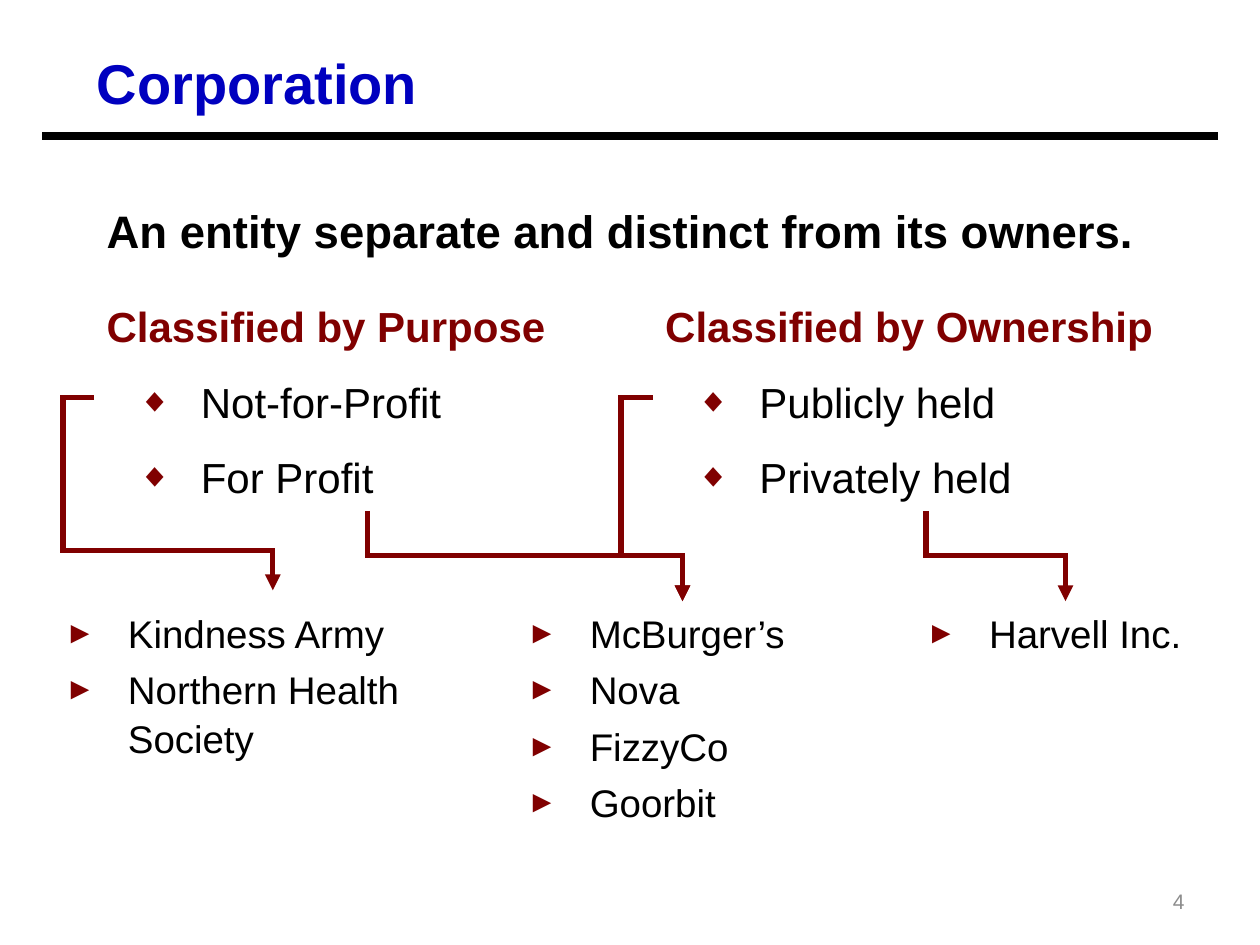
from typing import NamedTuple

from lxml.etree import SubElement
from pptx import Presentation
from pptx.dml.color import RGBColor
from pptx.enum.shapes import MSO_CONNECTOR as Connector
from pptx.enum.text import MSO_ANCHOR as Anchor, MSO_AUTO_SIZE as AutoSize, PP_ALIGN as Align
from pptx.oxml.ns import qn
from pptx.util import Cm, Pt

COLORS = {"title": "0000BF", "text": "000000", "accent": "800000", "number": "8C8C8C"}
FONT = "Arial"


class Style(NamedTuple):
    size: float
    color: str = "text"
    bold: bool = False
    line_spacing: float = 1.0
    space_before: float = 0
    bullet: str = ""
    margin: float = 0
    align: Align = Align.LEFT


class Block(NamedTuple):
    left: float
    top: float
    width: float
    height: float
    lines: list[tuple[str, Style]]
    anchor: Anchor = Anchor.TOP


class Elbow(NamedTuple):
    start: tuple[float, float]
    end: tuple[float, float]
    bend_y: float
    side_x: float | None = None


TITLE = Style(32, "title", True)
LEAD = Style(26, bold=True, line_spacing=1.15)
HEADING = Style(24, "accent", True, 1.2)
KIND = Style(24, line_spacing=1.2, space_before=8.6, bullet="◆", margin=1.9)
EXAMPLE = Style(22, line_spacing=1.05, space_before=4.6, bullet="►", margin=1.27)
NUMBER = Style(12, "number", align=Align.RIGHT)
HANGING = 1.27


def classification(left: float, heading: str, kinds: list[str]) -> Block:
    lines = [(heading, HEADING)] + [(kind, KIND) for kind in kinds]
    return Block(left, 5.74, 11, 4.57, lines)


def examples(left: float, width: float, height: float, names: list[str]) -> Block:
    return Block(left, 12.12, width, height, [(name, EXAMPLE) for name in names])


BLOCKS = [
    Block(1.9, 3.81, 22.66, 1.52,
          [("An entity separate and distinct from its owners.", LEAD)]),
    classification(1.9, "Classified by Purpose", ["Not-for-Profit", "For Profit"]),
    classification(13.16, "Classified by Ownership", ["Publicly held", "Privately held"]),
    examples(10.37, 6.78, 4.72, ["McBurger’s", "Nova", "FizzyCo", "Goorbit"]),
    examples(1.06, 8.26, 3.38, ["Kindness Army", "Northern Health Society"]),
    examples(18.42, 6.14, 1.24, ["Harvell Inc."]),
    Block(18.2, 17.65, 5.93, 1.02, [("4", NUMBER)], Anchor.MIDDLE),
]

ELBOWS = [
    Elbow((1.9, 8.02), (5.5, 11.9), 11.1, side_x=1.27),
    Elbow((13.16, 8.02), (13.76, 12.12), 11.2, side_x=12.52),
    Elbow((7.41, 10.3), (13.76, 12.12), 11.2),
    Elbow((18.67, 10.3), (21.48, 12.12), 11.2),
]


def rgb(name: str) -> RGBColor:
    return RGBColor.from_string(COLORS[name])


def add_bullet(para, style: Style) -> None:
    properties = para._p.get_or_add_pPr()
    properties.set("marL", str(Cm(style.margin)))
    properties.set("indent", str(-Cm(HANGING)))
    color = SubElement(properties, qn("a:buClr"))
    SubElement(color, qn("a:srgbClr"), val=COLORS["accent"])
    SubElement(properties, qn("a:buSzPct"), val="80000")
    SubElement(properties, qn("a:buFont"), typeface=FONT)
    SubElement(properties, qn("a:buChar"), char=style.bullet)


def fill_text(shape, block: Block) -> None:
    shape.left, shape.top = Cm(block.left), Cm(block.top)
    shape.width, shape.height = Cm(block.width), Cm(block.height)
    frame = shape.text_frame
    frame.word_wrap = True
    frame.auto_size = AutoSize.NONE
    frame.vertical_anchor = block.anchor
    for index, (text, style) in enumerate(block.lines):
        para = frame.add_paragraph() if index else frame.paragraphs[0]
        if style.bullet:
            add_bullet(para, style)
        para.alignment = style.align
        para.line_spacing = style.line_spacing
        para.space_before = Pt(style.space_before if index else 0)
        span = para.add_run()
        span.text = text
        span.font.name = FONT
        span.font.size = Pt(style.size)
        span.font.bold = style.bold
        span.font.color.rgb = rgb(style.color)


def add_line(page, kind: Connector, start: tuple[float, float], end: tuple[float, float],
             color: str, weight: float):
    line = page.shapes.add_connector(kind, *(Cm(value) for value in (*start, *end)))
    line.line.color.rgb = rgb(color)
    line.line.width = Pt(weight)
    SubElement(line._element.spPr, qn("a:effectLst"))
    return line


def add_elbow(page, elbow: Elbow) -> None:
    """Draw an arrow that runs down into its target, leaving sideways if side_x is set."""
    (x1, y1), (x2, y2) = elbow.start, elbow.end
    across, down = x2 - x1, y2 - y1
    bends = [(elbow.bend_y - y1) / down]
    start, end = elbow.start, elbow.end
    if elbow.side_x is None:
        # A quarter turn makes the first and last legs vertical.
        middle_x, middle_y = (x1 + x2) / 2, (y1 + y2) / 2
        start = (middle_x + down / 2, middle_y - across / 2)
        end = (middle_x - down / 2, middle_y + across / 2)
    else:
        bends.insert(0, (elbow.side_x - x1) / across)
    line = add_line(page, Connector.ELBOW, start, end, "accent", 3)
    properties = line._element.spPr
    if elbow.side_x is None:
        properties.find(qn("a:xfrm")).set("rot", str(270 * 60000))
    geometry = properties.find(qn("a:prstGeom"))
    geometry.set("prst", f"bentConnector{len(bends) + 2}")
    guides = geometry.find(qn("a:avLst"))
    for number, bend in enumerate(bends, 1):
        SubElement(guides, qn("a:gd"), name=f"adj{number}", fmla=f"val {round(bend * 100000)}")
    outline = properties.find(qn("a:ln"))
    SubElement(outline, qn("a:miter"), lim="800000")
    SubElement(outline, qn("a:tailEnd"), type="triangle", w="med", len="med")


def main() -> None:
    deck = Presentation()
    deck.slide_width, deck.slide_height = Cm(25.4), Cm(19.05)
    page = deck.slides.add_slide(deck.slide_layouts[5])
    fill_text(page.shapes.title, Block(1.7, 0.85, 21.16, 1.55, [("Corporation", TITLE)]))
    add_line(page, Connector.STRAIGHT, (0.85, 2.75), (24.55, 2.75), "text", 4.5)
    for block in BLOCKS:
        fill_text(page.shapes.add_textbox(0, 0, 0, 0), block)
    for elbow in ELBOWS:
        add_elbow(page, elbow)
    deck.save("out.pptx")


if __name__ == "__main__":
    main()
